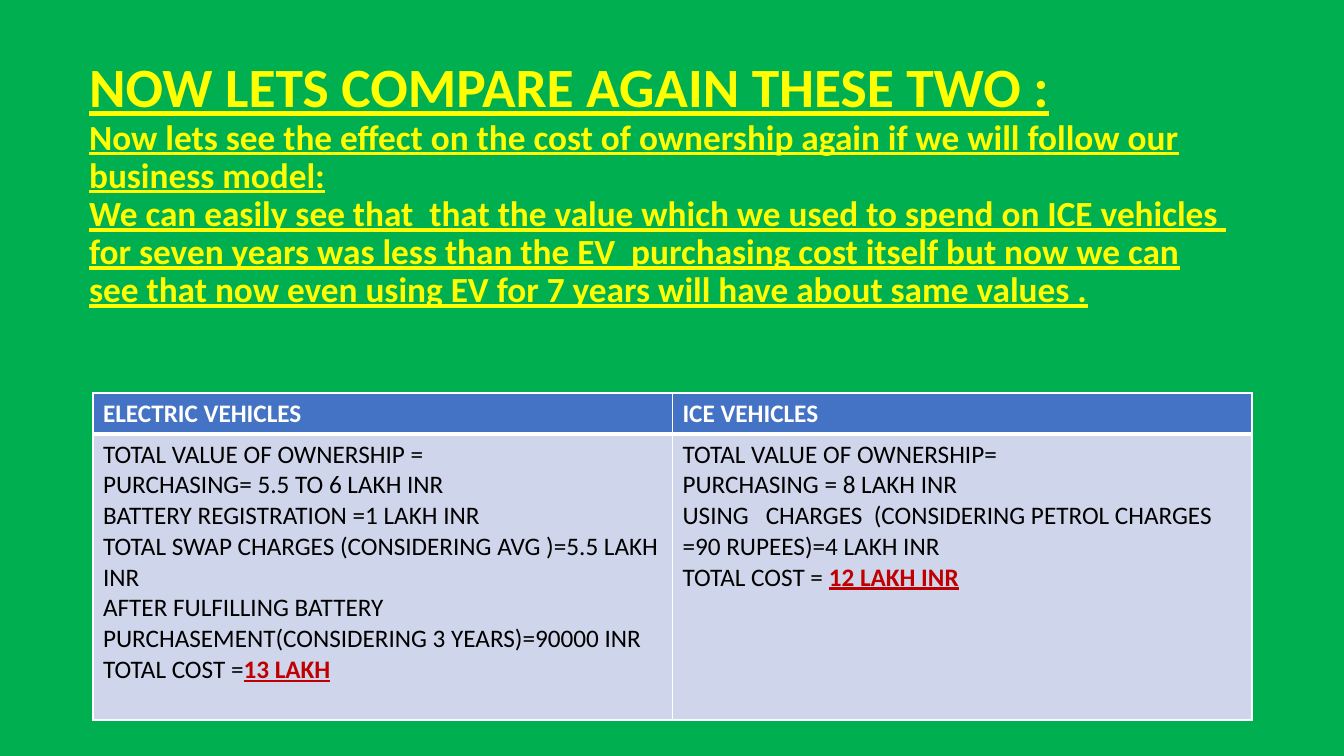
from copy import deepcopy

from lxml import etree
from pptx import Presentation
from pptx import util as u
from pptx.dml.color import RGBColor
from pptx.enum import text
from pptx.oxml.ns import qn

SCALE = 12192000 / 1344
GREEN = RGBColor(0x00, 0xB0, 0x50)
YELLOW = RGBColor(0xFF, 0xFF, 0x00)
WHITE = RGBColor(0xFF, 0xFF, 0xFF)
BLACK = RGBColor(0x00, 0x00, 0x00)
BLUE = RGBColor(0x44, 0x72, 0xC4)
LAVENDER = RGBColor(0xCF, 0xD5, 0xEA)
RED = RGBColor(0xC0, 0x00, 0x00)

HEADING = "NOW LETS COMPARE AGAIN THESE TWO :"
EFFECT = ("Now lets see the effect on the cost of ownership again if we will "
          "follow our business model:")
FINDING = ("We can easily see that  that the value which we used to spend on "
           "ICE vehicles  for seven years was less than the EV  purchasing cost "
           "itself but now we can see that now even using EV for 7 years will "
           "have about same values .")

# Header, cost lines, label of the total, total
VEHICLES = [
    ("ELECTRIC VEHICLES",
     ["TOTAL VALUE OF OWNERSHIP =",
      "PURCHASING= 5.5 TO 6 LAKH INR",
      "BATTERY REGISTRATION =1 LAKH INR",
      "TOTAL SWAP CHARGES (CONSIDERING AVG )=5.5 LAKH INR",
      "AFTER FULFILLING BATTERY PURCHASEMENT(CONSIDERING 3 YEARS)=90000 INR"],
     "TOTAL COST =", "13 LAKH"),
    ("ICE VEHICLES",
     ["TOTAL VALUE OF OWNERSHIP=",
      "PURCHASING = 8 LAKH INR",
      "USING   CHARGES  (CONSIDERING PETROL CHARGES =90 RUPEES)=4 LAKH INR"],
     "TOTAL COST = ", "12 LAKH INR"),
]


def px(n):
    return u.Emu(round(n * SCALE))


def format_run(r, size, color, bold=False, underline=False):
    r.font.name = "Calibri"
    r.font.size = u.Pt(size)
    r.font.color.rgb = color
    r.font.bold = bold
    r.font.underline = underline


def add_title(s):
    title = s.shapes.title
    title.left, title.top, title.width, title.height = map(px, (79, 23, 1159, 324))
    tf = title.text_frame
    tf.auto_size = text.MSO_AUTO_SIZE.NONE
    tf.word_wrap = True
    tf.vertical_anchor = text.MSO_ANCHOR.MIDDLE
    p = tf.paragraphs[0]
    p.text = "\v".join([HEADING, EFFECT, FINDING])
    p.alignment = text.PP_ALIGN.LEFT
    p.line_spacing = 0.9
    for r, size in zip(p.runs, (39.6, 25.2, 25.2)):
        format_run(r, size, YELLOW, bold=True, underline=True)
    # A line break takes the size of the run before it
    for br in p._p.findall(qn("a:br")):
        br.insert(0, deepcopy(br.getprevious().find(qn("a:rPr"))))


def set_borders(cell, bottom):
    """Draw white cell borders, 1 pt except for the bottom one."""
    tcPr = cell._tc.get_or_add_tcPr()
    widths = {"lnL": 1, "lnR": 1, "lnT": 1, "lnB": bottom}
    for i, (tag, width) in enumerate(widths.items()):
        ln = etree.Element(qn("a:" + tag), w=str(u.Pt(width)))
        fill = etree.SubElement(ln, qn("a:solidFill"))
        etree.SubElement(fill, qn("a:srgbClr"), val=str(WHITE))
        tcPr.insert(i, ln)


def style_cell(cell, fill, color, bold=False, bottom=1):
    cell.fill.solid()
    cell.fill.fore_color.rgb = fill
    set_borders(cell, bottom)
    for p in cell.text_frame.paragraphs:
        for r in p.runs:
            format_run(r, 18, color, bold)


def add_cost_table(s):
    table = s.shapes.add_table(2, len(VEHICLES), px(93), px(393),
                               px(1159), px(327)).table
    table.rows[0].height, table.rows[1].height = px(41), px(286)
    for col, (name, costs, label, total) in enumerate(VEHICLES):
        header, body = table.cell(0, col), table.cell(1, col)
        header.text_frame.text = name
        style_cell(header, BLUE, WHITE, bold=True, bottom=3)
        body.text_frame.text = "\n".join(costs + [label])
        style_cell(body, LAVENDER, BLACK)
        r = body.text_frame.paragraphs[-1].add_run()
        r.text = total
        format_run(r, 18, RED, bold=True, underline=True)


def main():
    prs = Presentation()
    prs.slide_width, prs.slide_height = px(1344), px(756)
    s = prs.slides.add_slide(prs.slide_layouts[5])
    s.background.fill.solid()
    s.background.fill.fore_color.rgb = GREEN
    add_title(s)
    add_cost_table(s)
    prs.save("out.pptx")


if __name__ == "__main__":
    main()
